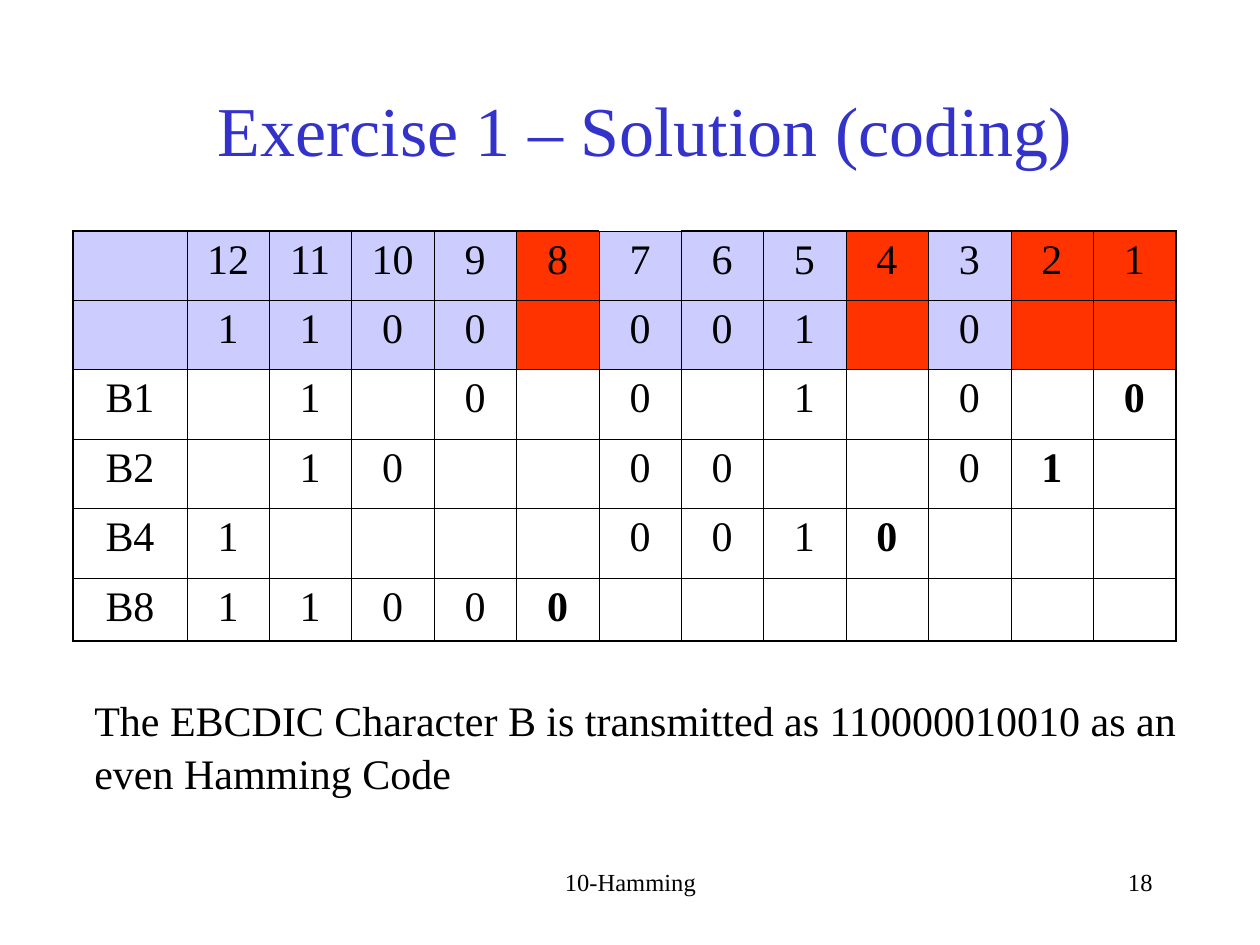
from typing import NamedTuple

from lxml.etree import SubElement
from pptx import Presentation
from pptx.dml.color import RGBColor
from pptx.enum.text import MSO_ANCHOR as Anchor, MSO_AUTO_SIZE as AutoSize, PP_ALIGN as Align
from pptx.oxml.ns import qn
from pptx.util import Emu, Pt

EMU_PER_PX = 914400 / 126
FONT = "Times New Roman"
BLACK = RGBColor(0x00, 0x00, 0x00)
BLUE = RGBColor(0x33, 0x33, 0xCC)
LAVENDER = RGBColor(0xCC, 0xCC, 0xFF)
RED = RGBColor(0xFF, 0x33, 0x00)
THIN, THICK = Pt(0.45), Pt(1.08)
BITS = 12
PARITY_POSITIONS = (1, 2, 4, 8)
HEADER_ROWS = 2
UNFRAMED_POSITION = 7

GRID = [row.split("|") for row in (
    "|12|11|10|9|8|7|6|5|4|3|2|1",
    "|1|1|0|0||0|0|1||0||",
    "B1||1||0||0||1||0||0",
    "B2||1|0|||0|0|||0|1|",
    "B4|1|||||0|0|1|0|||",
    "B8|1|1|0|0|0|||||||",
)]


class Label(NamedTuple):
    lines: tuple[str, ...]
    left: int
    top: int
    width: int
    height: int
    size: int
    align: Align = Align.LEFT
    color: RGBColor = BLACK
    anchor: Anchor = Anchor.TOP
    grow: bool = False


LABELS = (
    Label(("10-Hamming",), 431, 861, 399, 63, 14, Align.CENTER),
    Label(("18",), 903, 861, 262, 63, 14, Align.RIGHT),
    Label(("Exercise 1 – Solution (coding)",), 184, 76, 922, 105, 40,
          Align.CENTER, BLUE, Anchor.MIDDLE),
    Label(("The EBCDIC Character B is transmitted as 110000010010 as an",
           "even Hamming Code"), 82, 688, 1109, 113, 24, grow=True),
)


def px(length: int) -> Emu:
    return Emu(round(length * EMU_PER_PX))


def split(total: int, count: int) -> list[int]:
    edges = [total * index // count for index in range(count + 1)]
    return [end - start for start, end in zip(edges, edges[1:])]


def write(para, text: str, *, size: int, align: Align = Align.LEFT,
          color: RGBColor = BLACK, bold: bool = False) -> None:
    para.alignment = align
    span = para.add_run()
    span.text = text
    span.font.name = FONT
    span.font.size = Pt(size)
    span.font.bold = bold
    span.font.color.rgb = color


def draw_label(page, label: Label) -> None:
    box = page.shapes.add_textbox(px(label.left), px(label.top),
                                  px(label.width), px(label.height))
    frame = box.text_frame
    frame.word_wrap = not label.grow
    frame.auto_size = AutoSize.SHAPE_TO_FIT_TEXT if label.grow else AutoSize.NONE
    frame.vertical_anchor = label.anchor
    for index, line in enumerate(label.lines):
        para = frame.add_paragraph() if index else frame.paragraphs[0]
        if index:
            para.space_before = Pt(1.5)
        write(para, line, size=label.size, align=label.align, color=label.color)


def set_borders(cell, widths: dict[str, int]) -> None:
    properties = cell._tc.get_or_add_tcPr()
    for side, width in widths.items():
        line = SubElement(properties, qn(f"a:ln{side}"), w=str(int(width)))
        fill = SubElement(line, qn("a:solidFill"))
        SubElement(fill, qn("a:srgbClr"), val=str(BLACK))


def draw_cell(cell, row: int, column: int) -> None:
    position = BITS + 1 - column
    label, text = GRID[row][0], GRID[row][column]
    framed = row > 0 or position != UNFRAMED_POSITION
    set_borders(cell, {
        "L": THICK if column == 0 else THIN,
        "R": THICK if column == BITS else THIN,
        "T": THICK if row == 0 and framed else THIN,
        "B": THICK if row == len(GRID) - 1 else THIN,
    })
    if row < HEADER_ROWS:
        cell.fill.solid()
        cell.fill.fore_color.rgb = RED if position in PARITY_POSITIONS else LAVENDER
    else:
        cell.fill.background()
    if text:
        write(cell.text_frame.paragraphs[0], text, size=24, align=Align.CENTER,
              bold=label == f"B{position}")


def draw_table(page) -> None:
    widths = [114, *split(989, BITS)]
    heights = [*split(347, len(GRID) - 1), 63]
    table = page.shapes.add_table(len(heights), len(widths), px(73), px(231),
                                  px(sum(widths)), px(sum(heights))).table
    table.first_row = False
    table.horz_banding = False
    for column, width in zip(table.columns, widths):
        column.width = px(width)
    for row, height in zip(table.rows, heights):
        row.height = px(height)
    for row in range(len(heights)):
        for column in range(len(widths)):
            draw_cell(table.cell(row, column), row, column)


def main() -> None:
    deck = Presentation()
    deck.slide_width, deck.slide_height = px(1260), px(945)
    page = deck.slides.add_slide(deck.slide_layouts[6])
    draw_table(page)
    for label in LABELS:
        draw_label(page, label)
    deck.save("out.pptx")


if __name__ == "__main__":
    main()
